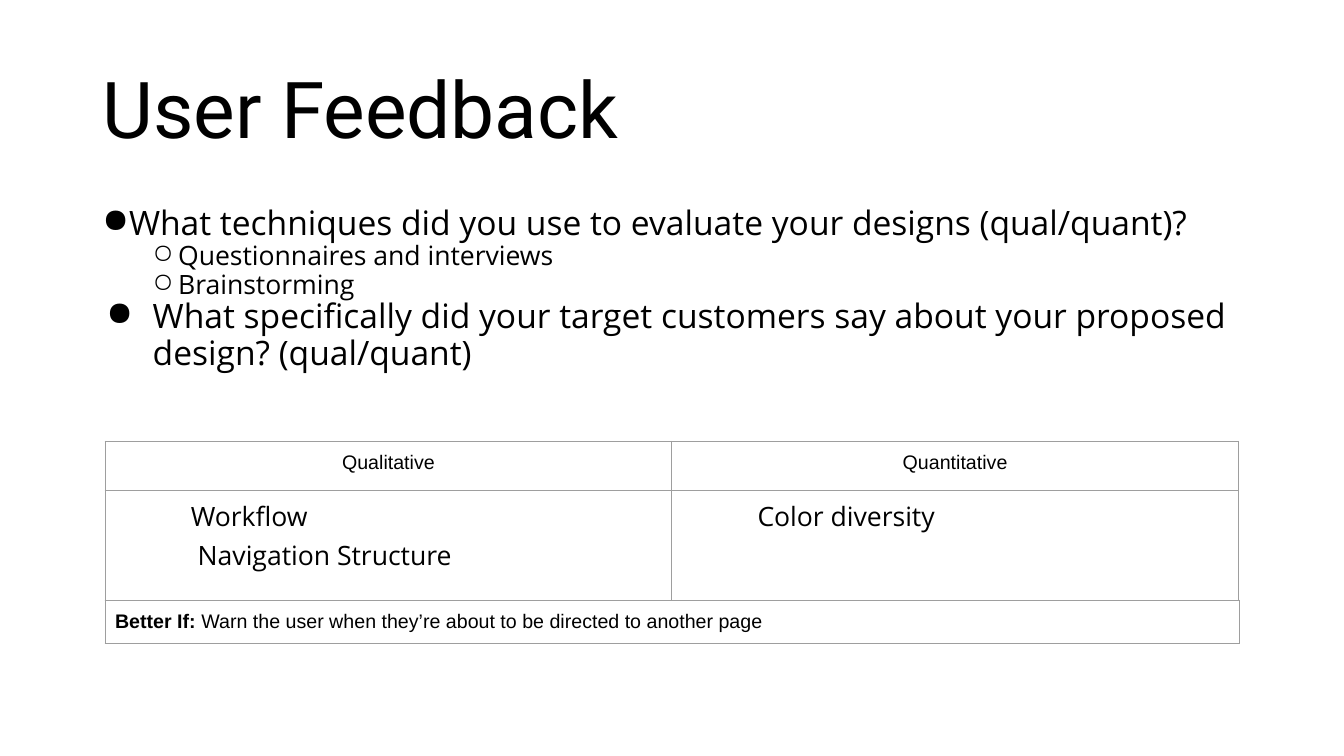
"""Build the User Feedback slide with its evaluation questions and findings tables."""
from dataclasses import dataclass

from lxml.etree import SubElement
from pptx import Presentation
from pptx.dml.color import RGBColor
from pptx.enum.text import MSO_ANCHOR as Anchor, PP_ALIGN as Align
from pptx.oxml.ns import qn
from pptx.util import Cm, Pt


@dataclass(frozen=True)
class Theme:
    ink: str = "000000"
    rule: str = "9E9E9E"
    rule_width: float = 0.75
    heading_font: str = "Roboto"
    body_font: str = "Open Sans"
    label_font: str = "Arial"
    heading: int = 56
    question: int = 24
    detail: int = 19
    label: int = 14


theme = Theme()


def write(frame, text, *, size, font=theme.body_font, bold=False, align=None, spacing=None,
          before=None, left=0, hang=0, level=0, bullet=None, join=False):
    paragraph = frame.paragraphs[-1]
    if paragraph.runs and not join:
        paragraph = frame.add_paragraph()
    run = paragraph.add_run()
    run.text = text
    run.font.size, run.font.name, run.font.bold = Pt(size), font, bold
    run.font.color.rgb = RGBColor.from_string(theme.ink)
    if join:
        return
    paragraph.level = level
    paragraph.alignment = align
    paragraph.line_spacing = spacing
    paragraph.space_before = before
    properties = paragraph._p.get_or_add_pPr()
    properties.set("marL", str(Cm(left)))
    properties.set("indent", str(Cm(-hang)))
    if bullet:
        bullet_color = SubElement(properties, qn("a:buClr"))
        SubElement(bullet_color, qn("a:srgbClr"), val=theme.ink)
        SubElement(properties, qn("a:buChar"), char=bullet)


def add_ruled_table(slide, top, column_widths, row_heights):
    table = slide.shapes.add_table(
        len(row_heights), len(column_widths), Cm(2.65), Cm(top),
        Cm(sum(column_widths)), Cm(sum(row_heights))).table
    table.first_row = table.horz_banding = False
    for column, width in zip(table.columns, column_widths):
        column.width = Cm(width)
    for row, height in zip(table.rows, row_heights):
        row.height = Cm(height)
    for cell in table.iter_cells():
        cell.margin_left = cell.margin_right = cell.margin_top = cell.margin_bottom = Cm(0.25)
        cell_properties = cell._tc.get_or_add_tcPr()
        for edge in ("a:lnL", "a:lnR", "a:lnT", "a:lnB"):
            border = SubElement(cell_properties, qn(edge), w=str(Pt(theme.rule_width)))
            border_fill = SubElement(border, qn("a:solidFill"))
            SubElement(border_fill, qn("a:srgbClr"), val=theme.rule)
        cell.fill.background()
    return table


deck = Presentation()
deck.slide_width, deck.slide_height = Cm(33.87), Cm(19.05)
slide = deck.slides.add_slide(deck.slide_layouts[6])

heading = slide.shapes.add_textbox(Cm(2.33), Cm(1.01), Cm(29.21), Cm(3.68)).text_frame
heading.word_wrap = True
heading.vertical_anchor = Anchor.MIDDLE
write(heading, "User Feedback", size=theme.heading, font=theme.heading_font, spacing=0.9)

questions = slide.shapes.add_textbox(Cm(2.33), Cm(5.07), Cm(29.21), Cm(12.09)).text_frame
questions.word_wrap = True
write(questions, "What techniques did you use to evaluate your designs (qual/quant)?",
      size=theme.question, spacing=0.9, left=0.64, hang=0.64, bullet="●")
for technique in ("Questionnaires and interviews", "Brainstorming"):
    write(questions, technique, size=theme.detail, spacing=0.9,
          left=1.91, hang=0.64, level=1, bullet="○")
write(questions,
      "What specifically did your target customers say about your proposed design? (qual/quant)",
      size=theme.question, spacing=0.9, left=1.27, hang=1.17, bullet="●")

findings = {
    "Qualitative": ["Workflow", " Navigation Structure"],
    "Quantitative": ["Color diversity"],
}
findings_table = add_ruled_table(slide, 11.12, [14.28] * len(findings), [1.24, 2.78])
for column, (kind, remarks) in enumerate(findings.items()):
    write(findings_table.cell(0, column).text_frame, kind,
          size=theme.label, font=theme.label_font, align=Align.CENTER)
    for remark in remarks:
        write(findings_table.cell(1, column).text_frame, remark,
              size=theme.detail, spacing=0.9, before=Pt(5), left=1.91)

advice = add_ruled_table(slide, 15.13, [28.58], [1.07]).cell(0, 0).text_frame
write(advice, "Better If:", size=theme.label, font=theme.label_font, bold=True)
write(advice, " Warn the user when they’re about to be directed to another page",
      size=theme.label, font=theme.label_font, join=True)

deck.save("out.pptx")
